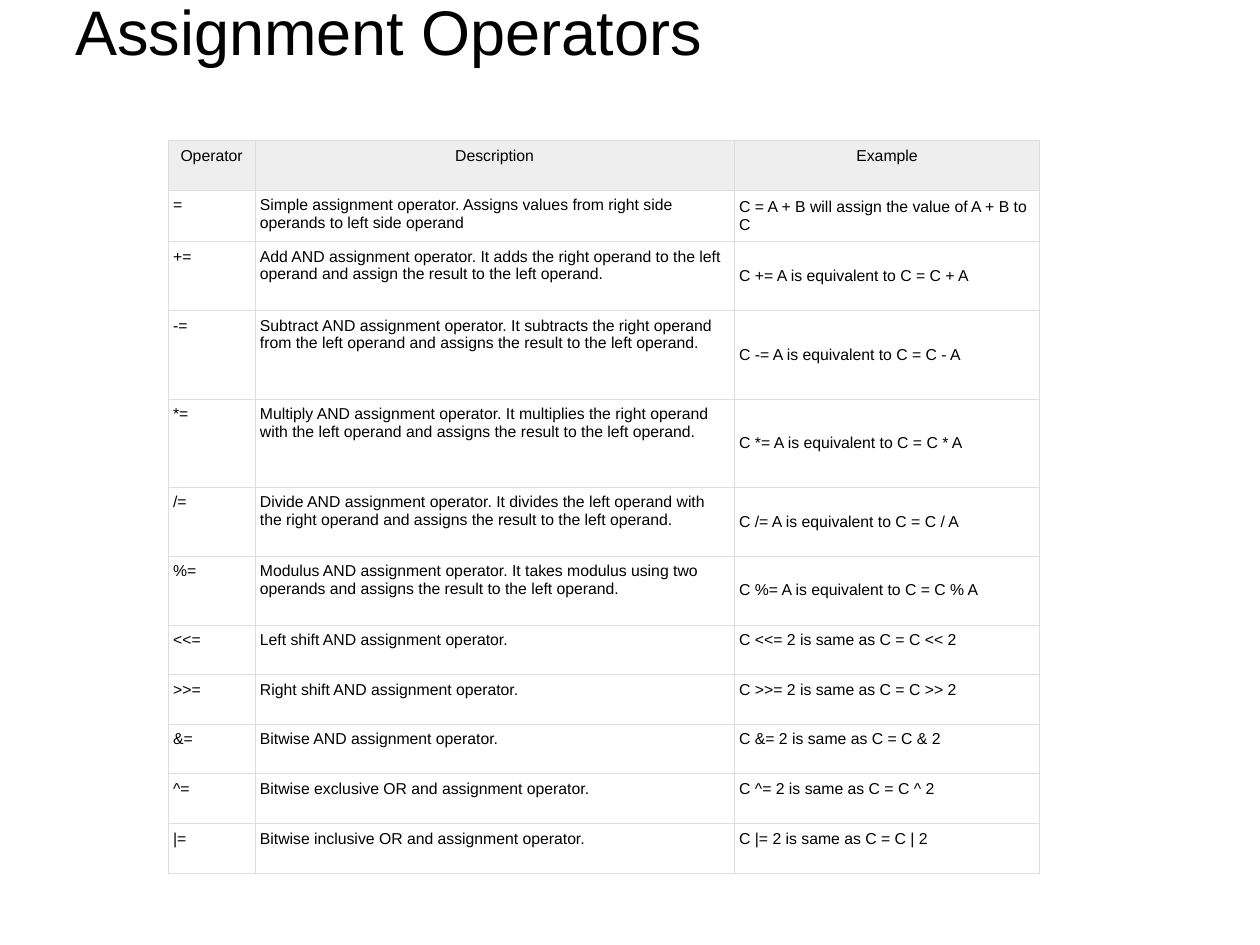
"""Build the slide that lists the assignment operators in a table."""
from typing import NamedTuple

import lxml.etree
import pptx
import pptx.dml.color
import pptx.enum.text
import pptx.oxml.ns
import pptx.util

Cm = pptx.util.Cm
Pt = pptx.util.Pt
RGBColor = pptx.dml.color.RGBColor
Align = pptx.enum.text.PP_ALIGN
Anchor = pptx.enum.text.MSO_ANCHOR

BLACK = RGBColor(0x00, 0x00, 0x00)
HEADER_GREY = RGBColor(0xEE, 0xEE, 0xEE)
BORDER_GREY = RGBColor(0xDD, 0xDD, 0xDD)

TITLE_FRAME = {"margin_top": Cm(0), "margin_bottom": Cm(1.45), "word_wrap": True,
               "vertical_anchor": Anchor.MIDDLE}
TITLE_FONT = {"name": "Arial", "size": Pt(36)}
CELL_FONT = {"name": "Arial", "size": Pt(9)}
CELL_MARGINS = {"margin_left": Cm(0.1), "margin_right": Cm(0.1),
                "margin_top": Cm(0.13), "margin_bottom": Cm(0.13)}
TABLE_FLAGS = {"first_row": False, "horz_banding": False}
COLUMN_WIDTHS = (Cm(1.75), Cm(9.66), Cm(6.16))
SHORT, WRAPPED, MEDIUM, TALL = Cm(1), Cm(1.04), Cm(1.39), Cm(1.78)


class OperatorRow(NamedTuple):
    operator: str
    description: str
    example: str
    height: int = SHORT


HEADER = OperatorRow("Operator", "Description", "Example")
OPERATORS = (
    OperatorRow("=", "Simple assignment operator. Assigns values from right side "
                "operands to left side operand",
                "C = A + B will assign the value of A + B to C", WRAPPED),
    OperatorRow("+=", "Add AND assignment operator. It adds the right operand to the "
                "left operand and assign the result to the left operand.",
                "C += A is equivalent to C = C + A", MEDIUM),
    OperatorRow("-=", "Subtract AND assignment operator. It subtracts the right operand "
                "from the left operand and assigns the result to the left operand.",
                "C -= A is equivalent to C = C - A", TALL),
    OperatorRow("*=", "Multiply AND assignment operator. It multiplies the right operand "
                "with the left operand and assigns the result to the left operand.",
                "C *= A is equivalent to C = C * A", TALL),
    OperatorRow("/=", "Divide AND assignment operator. It divides the left operand with "
                "the right operand and assigns the result to the left operand.",
                "C /= A is equivalent to C = C / A", MEDIUM),
    OperatorRow("%=", "Modulus AND assignment operator. It takes modulus using two "
                "operands and assigns the result to the left operand.",
                "C %= A is equivalent to C = C % A", MEDIUM),
    OperatorRow("<<=", "Left shift AND assignment operator.",
                "C <<= 2 is same as C = C << 2"),
    OperatorRow(">>=", "Right shift AND assignment operator.",
                "C >>= 2 is same as C = C >> 2"),
    OperatorRow("&=", "Bitwise AND assignment operator.",
                "C &= 2 is same as C = C & 2"),
    OperatorRow("^=", "Bitwise exclusive OR and assignment operator.",
                "C ^= 2 is same as C = C ^ 2"),
    OperatorRow("|=", "Bitwise inclusive OR and assignment operator.",
                "C |= 2 is same as C = C | 2"),
)


def apply_format(target: object, values: dict) -> None:
    for name, value in values.items():
        setattr(target, name, value)


def write_text(paragraph, text: str, font: dict, alignment=Align.LEFT) -> None:
    paragraph.alignment = alignment
    run = paragraph.add_run()
    run.text = text
    apply_format(run.font, font)
    run.font.color.rgb = BLACK


def add_borders(cell) -> None:
    qualified = pptx.oxml.ns.qn
    properties = cell._tc.get_or_add_tcPr()
    for side in ("a:lnL", "a:lnR", "a:lnT", "a:lnB"):
        line = lxml.etree.SubElement(properties, qualified(side), w=str(Pt(0.34)))
        fill = lxml.etree.SubElement(line, qualified("a:solidFill"))
        lxml.etree.SubElement(fill, qualified("a:srgbClr"), val=str(BORDER_GREY))


def fill_cell(cell, text: str, is_header: bool, anchor) -> None:
    apply_format(cell, CELL_MARGINS)
    cell.vertical_anchor = anchor
    add_borders(cell)
    if is_header:
        cell.fill.solid()
        cell.fill.fore_color.rgb = HEADER_GREY
    else:
        cell.fill.background()
    alignment = Align.CENTER if is_header else Align.LEFT
    write_text(cell.text_frame.paragraphs[0], text, CELL_FONT, alignment)


def add_title(slide, text: str) -> None:
    shape = slide.shapes.add_textbox(Cm(1.27), Cm(0.53), Cm(22.86), Cm(1.63))
    apply_format(shape.text_frame, TITLE_FRAME)
    write_text(shape.text_frame.paragraphs[0], text, TITLE_FONT)


def add_operator_table(slide, rows: tuple[OperatorRow, ...]) -> None:
    height = sum(row.height for row in rows)
    table = slide.shapes.add_table(len(rows), len(COLUMN_WIDTHS), Cm(3.39), Cm(2.83),
                                   sum(COLUMN_WIDTHS), height).table
    apply_format(table, TABLE_FLAGS)
    for column, width in zip(table.columns, COLUMN_WIDTHS):
        column.width = width
    for row_index, row in enumerate(rows):
        table.rows[row_index].height = row.height
        example_anchor = Anchor.TOP if row.height == SHORT else Anchor.MIDDLE
        anchors = (Anchor.TOP, Anchor.TOP, example_anchor)
        texts = (row.operator, row.description, row.example)
        for column_index, (text, anchor) in enumerate(zip(texts, anchors)):
            fill_cell(table.cell(row_index, column_index), text, row is HEADER, anchor)


def main() -> None:
    presentation = pptx.Presentation()
    presentation.slide_width, presentation.slide_height = Cm(25.4), Cm(19.05)
    slide = presentation.slides.add_slide(presentation.slide_layouts[6])
    add_title(slide, "Assignment Operators")
    add_operator_table(slide, (HEADER, *OPERATORS))
    presentation.save("out.pptx")


if __name__ == "__main__":
    main()
